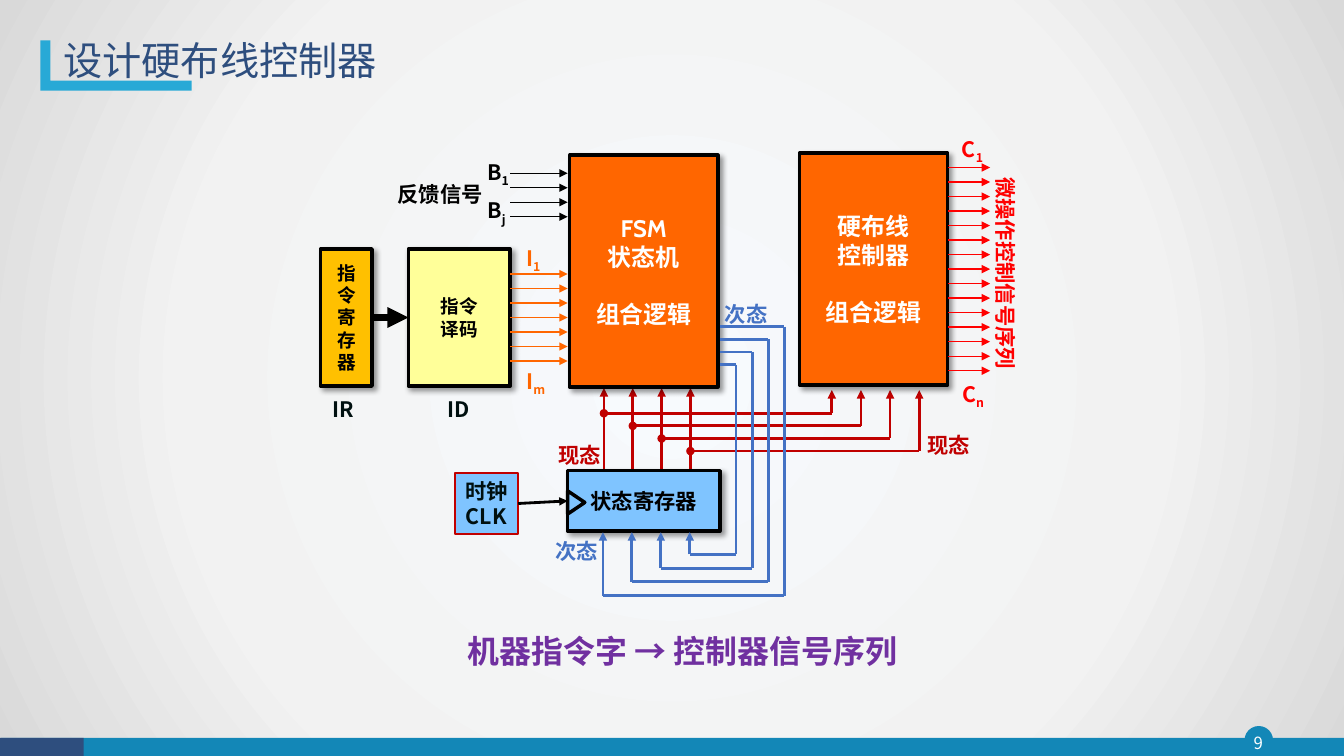
from pptx import Presentation
from pptx.dml.color import RGBColor
from pptx.enum.shapes import MSO_CONNECTOR, MSO_SHAPE
from pptx.enum.text import MSO_ANCHOR, PP_ALIGN
from pptx.oxml import parse_xml
from pptx.oxml.ns import nsdecls, qn
from pptx.util import Inches, Pt

BOX, OVAL, WEDGE = MSO_SHAPE.RECTANGLE, MSO_SHAPE.OVAL, MSO_SHAPE.ISOSCELES_TRIANGLE
LINE = MSO_CONNECTOR.STRAIGHT
MID, TOP = MSO_ANCHOR.MIDDLE, MSO_ANCHOR.TOP
LEFT, MIDST = PP_ALIGN.LEFT, PP_ALIGN.CENTER
NOTO, CABIN = "Noto Sans CJK SC", "Cabin"
BLACK, WHITE = RGBColor(0, 0, 0), RGBColor(255, 255, 255)
INK = RGBColor(0x00, 0x10, 0x10)
NAVY, TEAL, CYAN = RGBColor(0x2E, 0x4E, 0x7E), RGBColor(0x13, 0x87, 0xB7), RGBColor(0x28, 0xA9, 0xD6)
GOLD, CREAM, SKY = RGBColor(0xFF, 0xC0, 0x00), RGBColor(0xFF, 0xFF, 0x99), RGBColor(0x7F, 0xC4, 0xFF)
FLAME, RED, WINE = RGBColor(0xFF, 0x66, 0x00), RGBColor(0xFF, 0, 0), RGBColor(0xC0, 0, 0)
BLUE, PLUM = RGBColor(0x44, 0x72, 0xC4), RGBColor(0x70, 0x30, 0xA0)
CELL = Inches(0.1)
PITCH = 1.44

FRAME = [(5.4, 3.9), (5.4, 8.5), (18.7, 8.5), (18.7, 8.7), (5.2, 8.7), (5.2, 4.1),
         (4.7, 4.1), (4.7, 8.7), (3.6, 8.7), (3.6, 3.9), (3.9, 3.9), (3.9, 8.4),
         (4.4, 8.4), (4.4, 3.9)]
STOPS = [(0, "F7FAFD"), (63000, "F2F2F2"), (100000, "D9D9D9")]


def grid(*spots):
    """Turn columns and rows of the grid into lengths."""
    return [round(spot * CELL) for spot in spots]


def dress(item, **look):
    """Set each format value on an item."""
    for name, val in look.items():
        setattr(item, name, val)


def write(frame, text, size, tint, face=NOTO, bold=True, align=MIDST, gap=0, lead=None):
    """Fill a frame with lines of text, where _ starts a subscript."""
    rows = text.split("\n")
    for num, row in enumerate(rows):
        para = frame.add_paragraph() if num else frame.paragraphs[0]
        dress(para, alignment=align, line_spacing=lead)
        if gap and num == len(rows) - 1:
            para.space_before = Pt(gap)
        for low, part in enumerate(row.split("_")):
            run = para.add_run()
            run.text = part
            dress(run.font, size=Pt(size), bold=bold, name=face)
            run.font.color.rgb = tint
            props = run._r.get_or_add_rPr()
            props.append(parse_xml(f'<a:ea {nsdecls("a")} typeface="{NOTO}"/>'))
            if low:
                props.set("baseline", "-25000")


def label(slide, spot, text, tint, size=15.2, turn=0, **look):
    """Add a text box with no wrap."""
    box = slide.shapes.add_textbox(*grid(*spot))
    dress(box, rotation=turn)
    dress(box.text_frame, word_wrap=False, vertical_anchor=TOP)
    write(box.text_frame, text, size, tint, **look)
    return box


def paint(shape, fill, edge=None, wide=1):
    """Set fill and outline, with no shadow."""
    shape.shadow.inherit = False
    shape.fill.solid()
    shape.fill.fore_color.rgb = fill
    if edge is None:
        shape.line.fill.background()
    else:
        shape.line.color.rgb = edge
        shape.line.width = Pt(wide)
    return shape


def block(slide, spot, fill, edge=None, wide=1, kind=BOX, turn=0):
    """Add a filled preset shape."""
    shape = slide.shapes.add_shape(kind, *grid(*spot))
    shape.rotation = turn
    return paint(shape, fill, edge, wide)


def part(slide, spot, fill, text, size, tint=BLACK, gap=0):
    """Add a named hardware block with a soft shadow."""
    shape = block(slide, spot, fill, BLACK, 2.5)
    shape._element.spPr.find(qn("a:effectLst")).append(parse_xml(
        f'<a:outerShdw {nsdecls("a")} blurRad="50800" dist="38100" dir="2700000">'
        '<a:srgbClr val="000000"><a:alpha val="40000"/></a:srgbClr></a:outerShdw>'))
    dress(shape.text_frame, word_wrap=True, vertical_anchor=MID)
    write(shape.text_frame, text, size, tint, face=CABIN, gap=gap)
    return shape


def wire(slide, start, end, tint, wide=2, head=None, tail=None, src=None, dst=None):
    """Add a straight line, joined at its right or left block if given."""
    line = slide.shapes.add_connector(LINE, *grid(*start, *end))
    line.line.color.rgb = tint
    line.line.width = Pt(wide)
    edge = line.line._get_or_add_ln()
    for tag, tip in (("headEnd", head), ("tailEnd", tail)):
        if tip:
            edge.append(parse_xml(f'<a:{tag} {nsdecls("a")} type="{tip}"/>'))
    line._element.spPr.append(parse_xml(f'<a:effectLst {nsdecls("a")}/>'))
    if src is not None:
        line.begin_connect(src, 3)
    if dst is not None:
        line.end_connect(dst, 1)


def bus(slide, left, right, mid, count, tint, src=None):
    """Add evenly spaced arrows about a middle row."""
    for num in range(count):
        step = num - (count - 1) / 2
        row = mid + step * PITCH
        wire(slide, (left, row), (right, row), tint, 1, tail="triangle",
             src=src if step == 0 else None)


def back(slide):
    """Set the round gradient behind the slide."""
    slide.background.fill.solid()
    old = slide._element.xpath("//p:bgPr/a:solidFill")[0]
    stops = "".join(f'<a:gs pos="{pos}"><a:srgbClr val="{tint}"/></a:gs>' for pos, tint in STOPS)
    old.getparent().replace(old, parse_xml(
        f'<a:gradFill {nsdecls("a")}><a:gsLst>{stops}</a:gsLst><a:path path="circle">'
        '<a:fillToRect l="50000" t="50000" r="50000" b="50000"/></a:path></a:gradFill>'))


def trim(slide):
    """Add the footer band, page number, corner frame and title."""
    block(slide, (123.5, 72.1, 2.7, 2.7), TEAL, TEAL, kind=OVAL)
    block(slide, (0.1, 73.2, 133.2, 1.9), TEAL)
    block(slide, (0, 73.2, 8.3, 1.9), NAVY)
    page = label(slide, (123.2, 72.1, 3.2, 3.1), "9", WHITE, 12, bold=False)
    dress(page.text_frame, vertical_anchor=MID, margin_left=0, margin_right=0,
          margin_top=0, margin_bottom=0)
    path = slide.shapes.build_freeform(*FRAME[0], scale=CELL)
    path.add_line_segments(FRAME[1:])
    paint(path.convert_to_shape(), CYAN)
    title = slide.shapes.title
    dress(title, **dict(zip(("left", "top", "width", "height"), grid(5.3, 2.8, 115, 6.8))))
    title.text_frame.vertical_anchor = MID
    write(title.text_frame, "设计硬布线控制器", 28, NAVY, bold=False, align=LEFT, lead=0.9)


def states(slide):
    """Route the present state up to both logic blocks."""
    for num in range(4):
        col, far, row = 59.9 + 2.86 * num, 82.5 + 2.89 * num, 41 + 1.25 * num
        wire(slide, (col, 47.4), (col, 38.5), WINE, tail="triangle")
        wire(slide, (col, row), (far, row), WINE, head="oval")
        wire(slide, (far, row), (far, 38.7), WINE, tail="triangle")


def loops(slide):
    """Route the next state back to the register."""
    for num in range(4):
        col, far = 59.8 + 2.87 * num, 77.8 - 1.6 * num
        high, low = 32.4 + 1.26 * num, 59.1 - 1.37 * num
        wire(slide, (71.4, high), (far, high), BLUE)
        wire(slide, (far, high), (far, low), BLUE)
        wire(slide, (col, low), (far, low), BLUE)
        wire(slide, (col, low), (col, 52.8), BLUE, tail="triangle")


def main():
    """Build the slide of the hardwired controller."""
    deck = Presentation()
    dress(deck, slide_width=Inches(13.33), slide_height=Inches(7.5))
    slide = deck.slides.add_slide(deck.slide_layouts[5])
    back(slide)
    trim(slide)
    states(slide)
    instr = part(slide, (31.8, 24.7, 5.1, 13.6), GOLD, "指令寄存器", 13.3)
    code = part(slide, (40.5, 24.7, 10.1, 13.6), CREAM, "指令\n译码", 13.3)
    state = part(slide, (56.3, 46.7, 15.1, 6), SKY, "状态寄存器", 15.2)
    part(slide, (56.5, 15.4, 14.7, 23), FLAME, "FSM\n状态机\n组合逻辑", 17.1, WHITE, 20.5)
    ctrl = part(slide, (79.3, 15.2, 14.7, 23), FLAME, "硬布线\n控制器\n组合逻辑", 17.1, WHITE, 20.5)
    clock = block(slide, (45.1, 46.9, 6.3, 6.1), SKY, WINE, 1.5)
    dress(clock.text_frame, word_wrap=False, vertical_anchor=MID)
    write(clock.text_frame, "时钟\nCLK", 15.2, INK)
    block(slide, (56, 49, 2.3, 1.7), SKY, BLACK, 2.5, WEDGE, 90)
    wire(slide, (36.9, 31.5), (40.5, 31.5), BLACK, 5, tail="triangle", src=instr, dst=code)
    wire(slide, (51.4, 49.8), (56.3, 49.8), BLACK, tail="triangle", src=clock, dst=state)
    bus(slide, 50.6, 56.3, 19.35, 4, BLACK)
    bus(slide, 50.6, 56.3, 31.5, 7, FLAME, code)
    bus(slide, 94, 98.2, 26.7, 15, RED, ctrl)
    loops(slide)
    for spot, text, tint in (
            ((31.7, 38.8, 4.7, 3.6), "IR", INK), ((43.1, 38.8, 4.7, 3.6), "ID", INK),
            ((38.4, 17.5, 10.5, 3.6), "反馈信号", BLACK),
            ((47.2, 15.3, 4.4, 3.6), "B_1", BLACK), ((47.3, 19.1, 3.9, 3.6), "B_j", BLACK),
            ((51.1, 23.8, 3.6, 3.6), "I_1", FLAME), ((51.1, 36, 4.1, 3.6), "I_m", FLAME),
            ((94.3, 13, 4.3, 3.6), "C_1", RED), ((94.3, 37.3, 4.4, 3.6), "C_n", RED),
            ((90.6, 42.4, 7, 3.6), "现态", WINE), ((54, 43.4, 7, 3.6), "现态", WINE),
            ((70.5, 29.4, 7, 3.6), "次态", BLUE), ((53.7, 52.9, 7, 3.6), "次态", BLUE)):
        label(slide, spot, text, tint)
    label(slide, (89.2, 25.3, 21.1, 3.6), "微操作控制信号序列", RED, turn=90)
    label(slide, (45.4, 60.3, 45.2, 6.8), "机器指令字 → 控制器信号序列", PLUM, 22.8,
          face=CABIN, align=LEFT, lead=1.5)
    deck.save("out.pptx")


if __name__ == "__main__":
    main()
